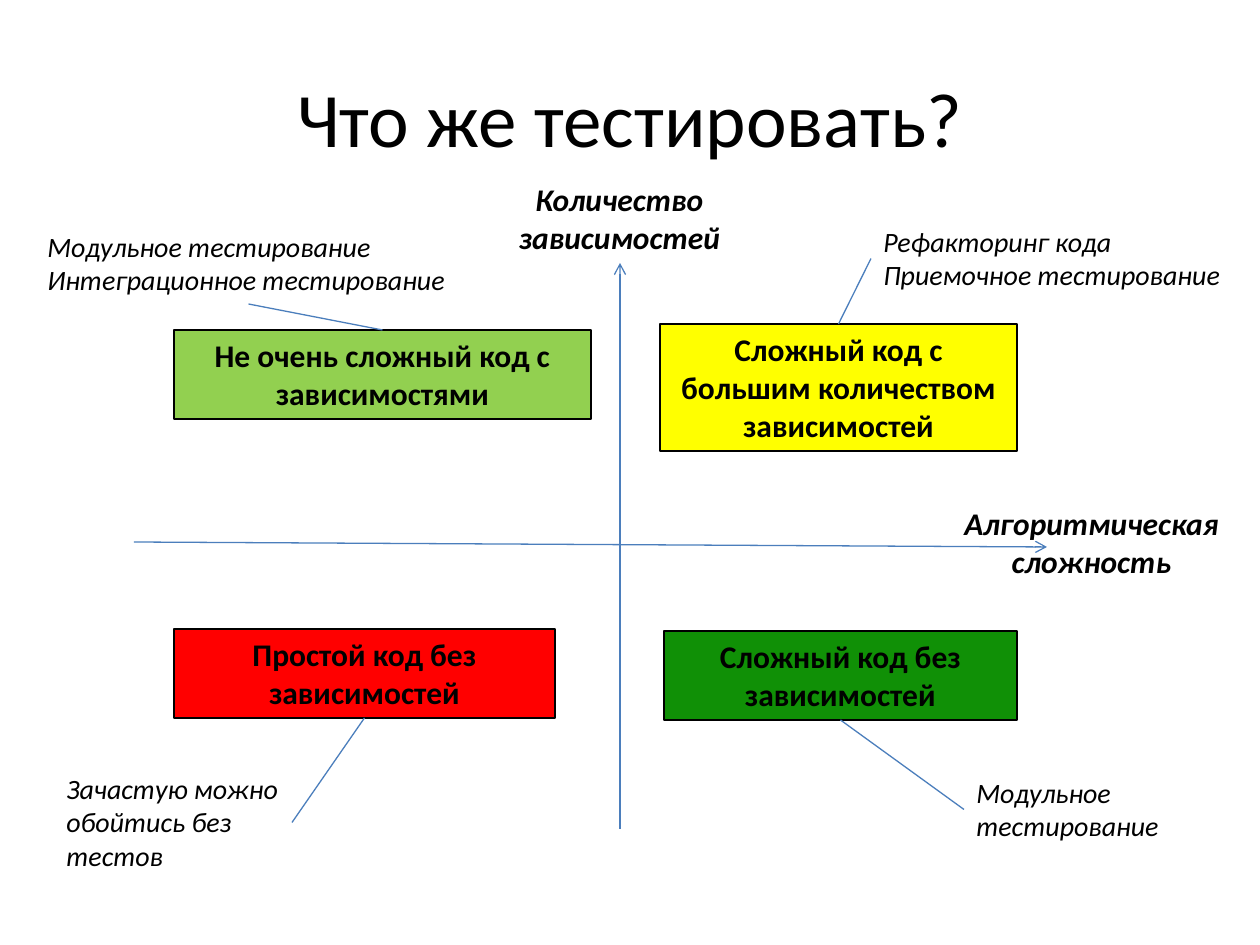
"""Build a slide that sorts code by complexity and dependencies, with testing advice."""
from dataclasses import dataclass

from lxml import etree
from pptx import Presentation
from pptx.dml.color import RGBColor
from pptx.enum.shapes import MSO_CONNECTOR, MSO_SHAPE
from pptx.enum.text import MSO_ANCHOR, MSO_AUTO_SIZE, PP_ALIGN
from pptx.oxml.ns import qn
from pptx.util import Emu, Pt

STRAIGHT = MSO_CONNECTOR.STRAIGHT
RECTANGLE = MSO_SHAPE.RECTANGLE
TOP, MIDDLE = MSO_ANCHOR.TOP, MSO_ANCHOR.MIDDLE
GROW = MSO_AUTO_SIZE.SHAPE_TO_FIT_TEXT
LEFT, CENTER = PP_ALIGN.LEFT, PP_ALIGN.CENTER

EMU_PER_PX = 914400 / 126
BLACK, LINE_BLUE = "000000", "4B7EBC"
SIDE_TOP, SIDE_LEFT, SIDE_BOTTOM, SIDE_RIGHT = range(4)

TITLE_FORMAT = {"size": Pt(44), "name": "Calibri"}
LABEL_FORMAT = {"size": Pt(18), "name": "Calibri", "bold": True, "italic": True}
BOX_FORMAT = {"size": Pt(18), "name": "Calibri", "bold": True}
NOTE_FORMAT = {"size": Pt(16), "name": "Calibri", "italic": True}


@dataclass(frozen=True)
class Area:
    """A rectangle in px."""
    left: int
    top: int
    width: int
    height: int


@dataclass(frozen=True)
class Axis:
    """An arrow from a start to an end in px, with its label."""
    start: tuple[int, int]
    end: tuple[int, int]
    label: str
    label_area: Area


@dataclass(frozen=True)
class Quadrant:
    """A coloured box, its advice note and the sides their line joins."""
    text: str
    area: Area
    fill: str
    note: str
    note_area: Area
    box_side: int
    note_side: int


AXES = [
    Axis((134, 542), (1047, 547), "Алгоритмическая сложность", Area(948, 498, 287, 89)),
    Axis((620, 829), (620, 263), "Количество зависимостей", Area(481, 174, 277, 89)),
]
QUADRANTS = [
    Quadrant("Простой код без зависимостей", Area(174, 629, 381, 89), "FF0000",
             "Зачастую можно обойтись без тестов", Area(54, 765, 238, 115),
             SIDE_BOTTOM, SIDE_RIGHT),
    Quadrant("Сложный код с большим количеством зависимостей",
             Area(660, 324, 357, 127), "FFFF00",
             "Рефакторинг кода\nПриемочное тестирование", Area(871, 218, 365, 81),
             SIDE_TOP, SIDE_LEFT),
    Quadrant("Cложный код без зависимостей", Area(664, 631, 353, 89), "109006",
             "Модульное тестирование", Area(964, 769, 238, 81),
             SIDE_BOTTOM, SIDE_LEFT),
    Quadrant("Не очень сложный код с зависимостями", Area(174, 330, 417, 89), "92D050",
             "Модульное тестирование\nИнтеграционное тестирование",
             Area(35, 223, 427, 81), SIDE_TOP, SIDE_BOTTOM),
]


def px(length: int) -> Emu:
    """Turn px into EMU."""
    return Emu(round(length * EMU_PER_PX))


def frame(area: Area) -> tuple[Emu, Emu, Emu, Emu]:
    """Give an area's left, top, width and height in EMU."""
    return px(area.left), px(area.top), px(area.width), px(area.height)


def color(value: str) -> RGBColor:
    """Turn a hex string into a colour."""
    return RGBColor.from_string(value)


def write(shape, text: str, font_format: dict, align, anchor=TOP) -> None:
    """Put formatted text into a shape."""
    text_frame = shape.text_frame
    text_frame.word_wrap = True
    text_frame.vertical_anchor = anchor
    text_frame.text = text
    for para in text_frame.paragraphs:
        para.alignment = align
        for span in para.runs:
            for name, value in font_format.items():
                setattr(span.font, name, value)
            span.font.color.rgb = color(BLACK)


def add_text(slide, area: Area, text: str, font_format: dict, align):
    """Add a text box that grows with its text."""
    box = slide.shapes.add_textbox(*frame(area))
    write(box, text, font_format, align)
    box.text_frame.auto_size = GROW
    return box


def add_box(slide, quadrant: Quadrant):
    """Add the coloured box of a quadrant."""
    box = slide.shapes.add_shape(RECTANGLE, *frame(quadrant.area))
    box.shadow.inherit = False
    box.fill.solid()
    box.fill.fore_color.rgb = color(quadrant.fill)
    box.line.color.rgb = color(BLACK)
    box.line.width = Pt(0.75)
    write(box, quadrant.text, BOX_FORMAT, CENTER)
    box.text_frame.auto_size = GROW
    return box


def add_line(slide, start: tuple[int, int] = (0, 0), end: tuple[int, int] = (0, 0)):
    """Add a thin blue line without a shadow."""
    line = slide.shapes.add_connector(STRAIGHT, *map(px, start + end))
    line.line.color.rgb = color(LINE_BLUE)
    line.line.width = Pt(0.75)
    etree.SubElement(line._element.spPr, qn("a:effectLst"))
    return line


def add_axis(slide, axis: Axis) -> None:
    """Add an axis arrow and its label."""
    arrow = add_line(slide, axis.start, axis.end)
    etree.SubElement(arrow.line._get_or_add_ln(), qn("a:tailEnd"), type="arrow")
    add_text(slide, axis.label_area, axis.label, LABEL_FORMAT, CENTER)


def add_quadrant(slide, quadrant: Quadrant) -> None:
    """Add a box and its note, joined by a line."""
    box = add_box(slide, quadrant)
    note = add_text(slide, quadrant.note_area, quadrant.note, NOTE_FORMAT, LEFT)
    link = add_line(slide)
    link.begin_connect(box, quadrant.box_side)
    link.end_connect(note, quadrant.note_side)


def main() -> None:
    """Build and save the deck."""
    deck = Presentation()
    deck.slide_width, deck.slide_height = px(1260), px(945)
    slide = deck.slides.add_slide(deck.slide_layouts[5])
    title = slide.shapes.title
    title.left, title.top, title.width, title.height = frame(Area(63, 38, 1134, 158))
    write(title, "Что же тестировать?", TITLE_FORMAT, CENTER, MIDDLE)
    for axis in AXES:
        add_axis(slide, axis)
    for quadrant in QUADRANTS:
        add_quadrant(slide, quadrant)
    deck.save("out.pptx")


if __name__ == "__main__":
    main()
